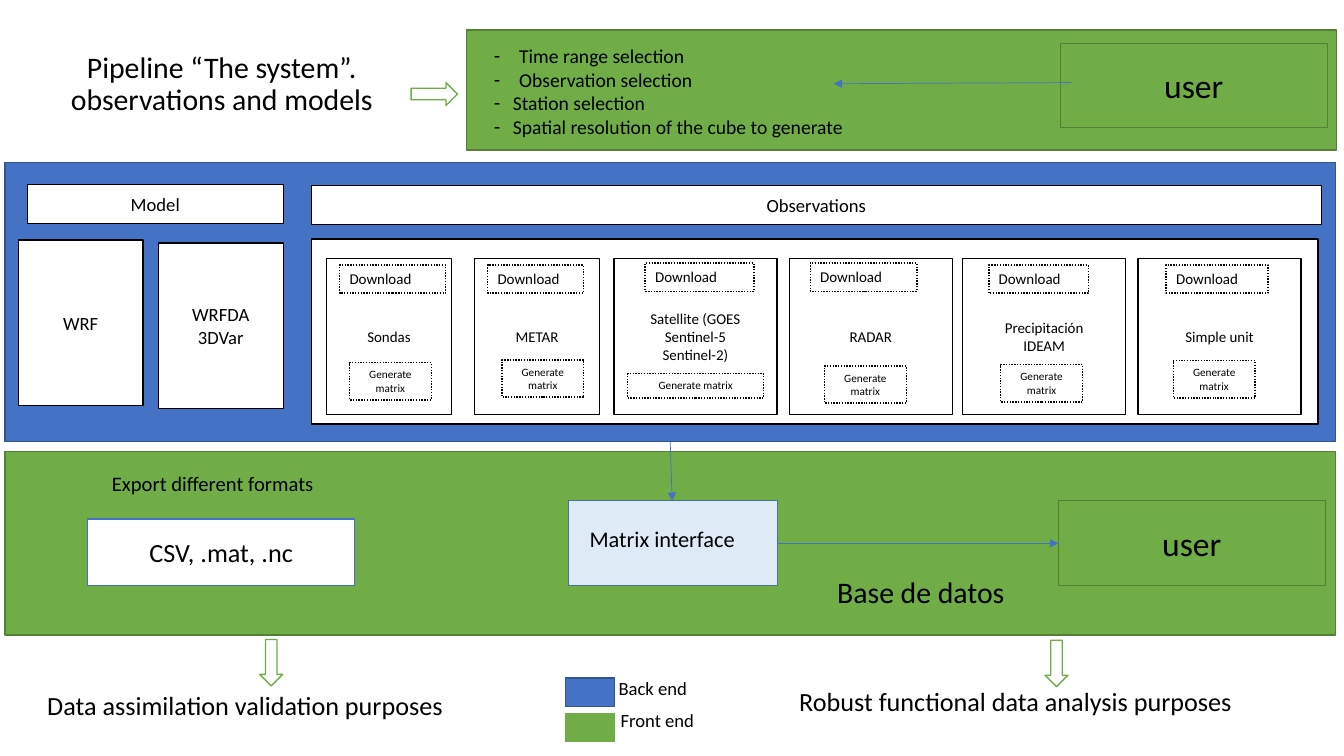
"""Build the pipeline slide: user selection, back end processing and front end delivery."""
from dataclasses import dataclass
from lxml import etree
from pptx import Presentation
from pptx import util as u
from pptx.dml.color import RGBColor
from pptx.enum import dml, shapes, text
from pptx.oxml.ns import qn


@dataclass(frozen=True)
class Theme:
    font: str = "Calibri"
    black: str = "000000"
    white: str = "FFFFFF"
    front: str = "70AD47"
    front_edge: str = "538035"
    back: str = "4472C4"
    back_edge: str = "325491"
    pale: str = "DEEBF7"
    pale_edge: str = "43739E"
    user: float = 24
    title: float = 21.3
    purpose: float = 18.7
    interface: float = 16
    export: float = 14.7
    options: float = 14
    label: float = 13.3
    source: float = 10.7
    step: float = 8


T = Theme()
CENTER, LEFT = text.PP_ALIGN.CENTER, text.PP_ALIGN.LEFT
MIDDLE, TOP = text.MSO_ANCHOR.MIDDLE, text.MSO_ANCHOR.TOP
RECT, ARROW = shapes.MSO_SHAPE.RECTANGLE, shapes.MSO_SHAPE.RIGHT_ARROW

prs = Presentation()
prs.slide_width, prs.slide_height = u.Cm(33.87), u.Cm(19.05)
s = prs.slides.add_slide(prs.slide_layouts[1])


def write(sp, words, size=T.label, align=CENTER, anchor=MIDDLE, wrap=True, spacing=1.0):
    tf = sp.text_frame
    tf.text = words
    tf.word_wrap = wrap
    tf.auto_size = text.MSO_AUTO_SIZE.NONE if wrap else text.MSO_AUTO_SIZE.SHAPE_TO_FIT_TEXT
    tf.vertical_anchor = anchor
    for p in tf.paragraphs:
        p.alignment, p.line_spacing, p.space_before = align, spacing, u.Pt(0)
        for r in p.runs:
            r.font.name, r.font.size = T.font, u.Pt(size)
            r.font.color.rgb = RGBColor.from_string(T.black)


def box(left, top, width, height, fill=T.white, edge=T.black, kind=RECT, dotted=False):
    sp = s.shapes.add_shape(kind, u.Cm(left), u.Cm(top), u.Cm(width), u.Cm(height))
    sp.shadow.inherit = False
    sp.fill.solid()
    sp.fill.fore_color.rgb = RGBColor.from_string(fill)
    sp.line.color.rgb = RGBColor.from_string(edge)
    sp.line.width = u.Pt(1)
    if dotted:
        sp.line.dash_style = dml.MSO_LINE.ROUND_DOT
    return sp


box(0.13, 11.38, 33.53, 4.62, T.front, T.front_edge)
box(11.76, 0.76, 21.92, 3.02, T.front, T.front_edge)
box(0.13, 4.09, 33.53, 7.04, T.back, T.back_edge)
box(7.85, 6.02, 25.37, 4.67)
box(14.33, 12.62, 5.26, 2.13, T.pale, T.pale_edge)

title, options = s.shapes.title, s.placeholders[1]
title.left, title.top, title.width, title.height = map(u.Cm, (0.46, 1.07, 10.26, 2.13))
write(title, "Pipeline “The system”. observations and models", size=T.title, spacing=0.9)

options.element.getparent().append(options.element)
options.left, options.top, options.width, options.height = map(u.Cm, (12.19, 0.99, 9.6, 2.64))
write(options, "Time range selection\nObservation selection\nStation selection\n"
      "Spatial resolution of the cube to generate",
      size=T.options, align=LEFT, anchor=TOP, wrap=False)
for p, indent in zip(options.text_frame.paragraphs, (0.64, 0.64, 0.48, 0.48)):
    pPr = p._p.get_or_add_pPr()
    pPr.set("marL", str(u.Cm(indent)))
    pPr.set("indent", str(-u.Cm(indent)))
    etree.SubElement(pPr, qn("a:buChar")).set("char", "-")

for words, *place in [
    ("Model", 0.69, 4.65, 6.45, 0.99),
    ("Observations", 7.85, 4.67, 25.45, 0.99),
    ("WRF", 0.46, 6.05, 3.15, 4.17),
    ("WRFDA\n3DVar", 3.99, 6.12, 3.15, 4.17),
]:
    write(box(*place), words)

for name, left, width, load, step in [
    ("Sondas", 8.23, 3.15, (8.56, 6.68, 2.67), (8.81, 9.14, 2.06, 0.94)),
    ("METAR", 11.96, 3.15, (12.29, 6.68, 2.41), (12.65, 9.07, 2.06, 0.94)),
    ("Satellite (GOES\nSentinel-5\nSentinel-2)", 15.47, 4.11, (16.26, 6.63, 2.74), (15.82, 9.42, 3.43, 0.61)),
    ("RADAR", 19.89, 4.11, (20.42, 6.63, 2.69), (20.78, 9.22, 2.06, 0.94)),
    ("Precipitación\nIDEAM", 24.26, 4.11, (24.92, 6.68, 2.51), (25.22, 9.19, 2.06, 0.94)),
    ("Simple unit", 28.68, 4.11, (29.39, 6.68, 2.57), (29.57, 9.09, 2.06, 0.94)),
]:
    write(box(left, 6.52, width, 3.93), name, size=T.source)
    write(box(*load, 0.71, dotted=True), "Download", size=T.source, align=LEFT, anchor=TOP)
    write(box(*step, dotted=True), "Generate matrix", size=T.step, anchor=TOP)

write(box(2.21, 13.08, 6.73, 1.68, edge=T.back), "CSV, .mat, .nc", size=T.purpose)
for left, top in [(26.72, 1.09), (26.67, 12.62)]:
    write(box(left, top, 6.73, 2.13, T.front, T.front_edge), "user", size=T.user)

box(14.25, 17.09, 1.24, 0.71, T.back, T.back_edge)
box(14.25, 17.98, 1.24, 0.71, T.front, T.front)

for words, size, *place in [
    ("Matrix interface", T.interface, 14.61, 13.11, 4.22, 0.94),
    ("Base de datos", T.title, 20.85, 14.33, 4.8, 1.17),
    ("Export different formats", T.export, 2.57, 11.73, 5.64, 0.89),
    ("Data assimilation validation purposes", T.purpose, 0.94, 17.25, 10.69, 1.07),
    ("Robust functional data analysis purposes", T.purpose, 19.89, 17.15, 11.48, 1.07),
    ("Back end", T.label, 15.34, 16.94, 2.26, 0.84),
    ("Front end", T.label, 15.39, 17.73, 2.39, 0.84),
]:
    sp = s.shapes.add_textbox(*map(u.Cm, place))
    write(sp, words, size=size, align=LEFT, anchor=TOP, wrap=False)

for left, top, turn in [(10.36, 2.08, 0), (6.25, 16.41, 90), (26.04, 16.43, 90)]:
    box(left, top, 1.17, 0.58, edge=T.front, kind=ARROW).rotation = turn

for ends in [
    (16.89, 11.13, 16.94, 12.62),
    (19.58, 13.69, 26.67, 13.69),
    (27.0, 2.08, 21.01, 2.11),
]:
    flow = s.shapes.add_connector(shapes.MSO_CONNECTOR.STRAIGHT, *map(u.Cm, ends))
    flow.line.color.rgb = RGBColor.from_string(T.back)
    flow.line.width = u.Pt(0.5)
    etree.SubElement(flow.line._get_or_add_ln(), qn("a:tailEnd")).set("type", "triangle")
    etree.SubElement(flow.element.spPr, qn("a:effectLst"))

prs.save("out.pptx")
